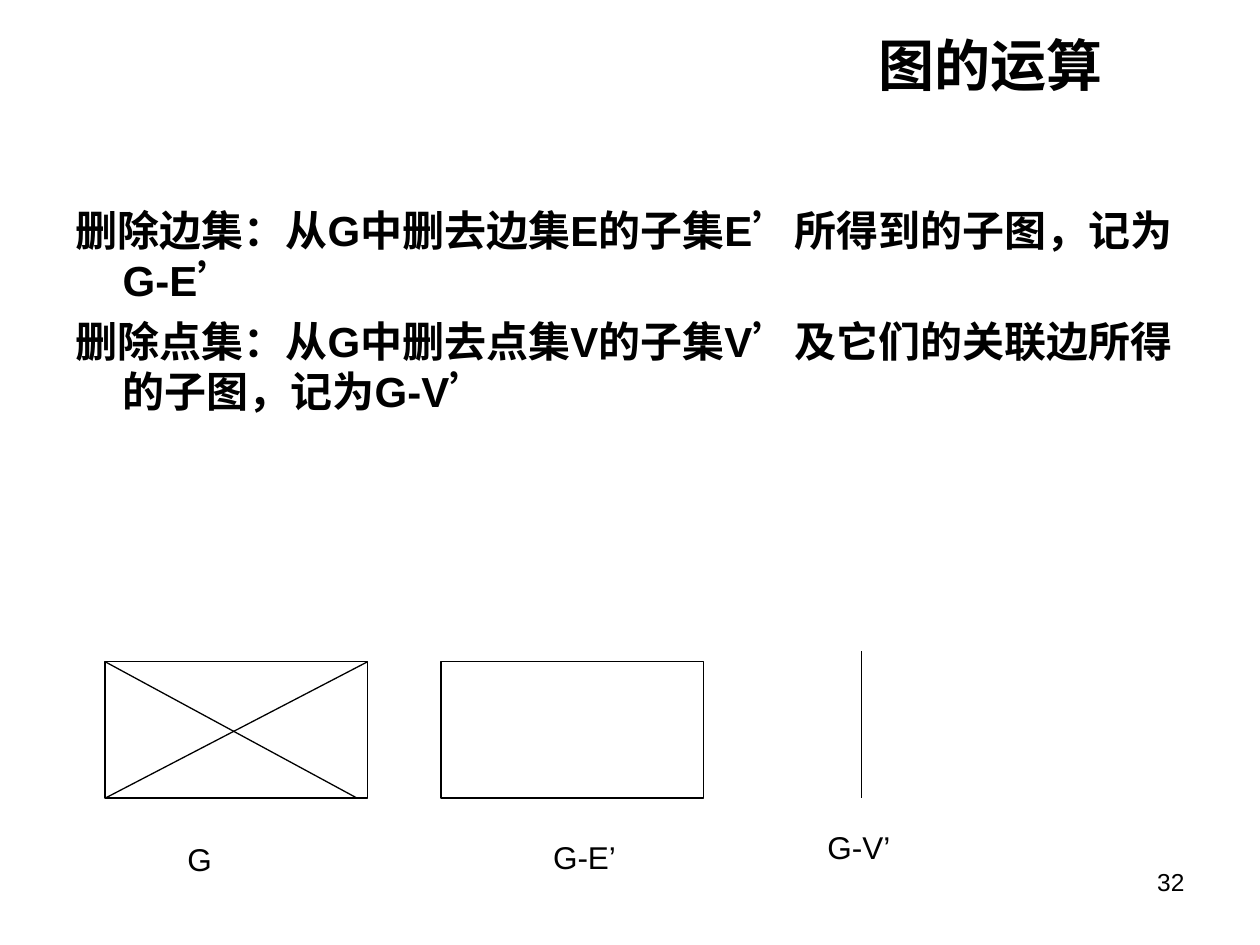
import pptx
import pptx.util
import pptx.dml.color
import pptx.enum.shapes
import pptx.enum.text
import pptx.oxml
from pptx.util import Cm

BLACK = pptx.dml.color.RGBColor(0, 0, 0)
WHITE = pptx.dml.color.RGBColor(255, 255, 255)
LEFT = pptx.enum.text.PP_ALIGN.LEFT
RIGHT = pptx.enum.text.PP_ALIGN.RIGHT
NS = 'xmlns:a="http://schemas.openxmlformats.org/drawingml/2006/main"'


def format_text(frame, size, bold, alignment):
    frame.auto_size = pptx.enum.text.MSO_AUTO_SIZE.NONE
    for paragraph in frame.paragraphs:
        paragraph.alignment = alignment
        for run in paragraph.runs:
            run.font.name = "Arial"
            run.font.size = pptx.util.Pt(size)
            run.font.bold = bold
            run.font.color.rgb = BLACK


def place(part, left, top, width, height):
    part.left, part.top, part.width, part.height = Cm(left), Cm(top), Cm(width), Cm(height)


presentation = pptx.Presentation()
presentation.slide_width = Cm(25.4)
presentation.slide_height = Cm(19.05)
slide = presentation.slides.add_slide(presentation.slide_layouts[1])
slide.background.fill.solid()
slide.background.fill.fore_color.rgb = WHITE

heading = slide.shapes.title
place(heading, 5.49, 0.71, 16.99, 1.17)
heading.text_frame.text = "图的运算"
heading.text_frame.vertical_anchor = pptx.enum.text.MSO_ANCHOR.MIDDLE
format_text(heading.text_frame, 32, True, RIGHT)

definitions = slide.placeholders[1]
place(definitions, 1.27, 3.99, 22.86, 7.54)
definitions.text_frame.text = (
    "删除边集：从G中删去边集E的子集E’所得到的子图，记为G-E’\n"
    "删除点集：从G中删去点集V的子集V’及它们的关联边所得的子图，记为G-V’"
)
for index, definition in enumerate(definitions.text_frame.paragraphs):
    properties = definition._p.get_or_add_pPr()
    properties.set("marL", str(Cm(0.95)))
    properties.set("indent", str(-Cm(0.95)))
    properties.append(pptx.oxml.parse_xml(f"<a:buNone {NS}/>"))
    definition.space_before = pptx.util.Pt(6 * index)
format_text(definitions.text_frame, 24, True, LEFT)

GRAPH_TOP, GRAPH_BOTTOM = 13.34, 16.09
GRAPH_WIDTH = 5.29
G_LEFT, G_MINUS_E_LEFT, G_MINUS_V_LEFT = 2.12, 8.89, 17.36

for graph_left in (G_LEFT, G_MINUS_E_LEFT):
    outline = slide.shapes.add_shape(
        pptx.enum.shapes.MSO_SHAPE.RECTANGLE,
        Cm(graph_left), Cm(GRAPH_TOP), Cm(GRAPH_WIDTH), Cm(GRAPH_BOTTOM - GRAPH_TOP),
    )
    outline.shadow.inherit = False
    outline.fill.background()
    outline.line.color.rgb = BLACK
    outline.line.width = pptx.util.Pt(0.75)

edges = [
    (G_LEFT, GRAPH_TOP, 7.2, GRAPH_BOTTOM),
    (G_LEFT, GRAPH_BOTTOM, G_LEFT + GRAPH_WIDTH, GRAPH_TOP),
    (G_MINUS_V_LEFT, 13.12, G_MINUS_V_LEFT, GRAPH_BOTTOM),
]
for ends in edges:
    edge = slide.shapes.add_connector(
        pptx.enum.shapes.MSO_CONNECTOR.STRAIGHT, *[Cm(end) for end in ends]
    )
    edge.line.color.rgb = BLACK
    edge.line.width = pptx.util.Pt(0.75)
    edge._element.spPr.append(pptx.oxml.parse_xml(f"<a:effectLst {NS}/>"))

captions = [
    ("G", 3.53, 16.81, 0.99, 1.02, 18, LEFT),
    ("G-E’", 10.9, 16.76, 1.78, 1.02, 18, LEFT),
    ("G-V’", 16.43, 16.56, 1.78, 1.02, 18, LEFT),
    ("32", 18.21, 17.35, 5.92, 1.32, 14, RIGHT),
]
for wording, left, top, width, height, size, alignment in captions:
    caption = slide.shapes.add_textbox(Cm(left), Cm(top), Cm(width), Cm(height))
    caption.text_frame.text = wording
    caption.text_frame.word_wrap = alignment == RIGHT
    format_text(caption.text_frame, size, False, alignment)

presentation.save("out.pptx")
